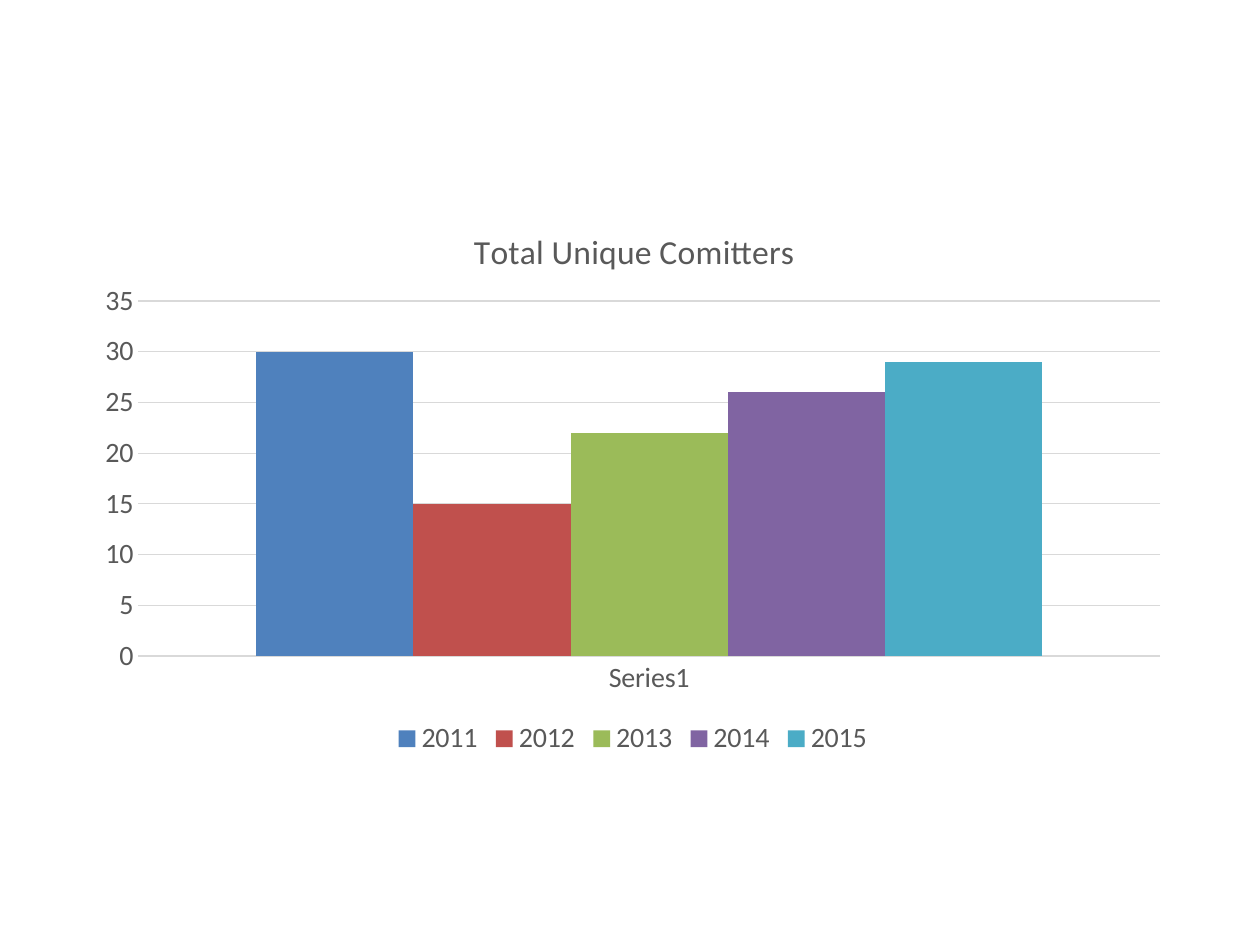
from lxml import etree
from pptx import Presentation
from pptx.chart.data import CategoryChartData
from pptx.dml.color import RGBColor
from pptx.enum.chart import XL_CHART_TYPE as ChartType
from pptx.enum.chart import XL_LEGEND_POSITION as LegendPosition
from pptx.enum.chart import XL_TICK_MARK as TickMark
from pptx.oxml.ns import qn
from pptx.util import Cm, Pt

COLORS = {
    "text": "595959",
    "grid": "D9D9D9",
    "2011": "4F81BD",
    "2012": "C0504D",
    "2013": "9BBB59",
    "2014": "8064A2",
    "2015": "4BACC6",
}
COMMITTERS = {"2011": 30, "2012": 15, "2013": 22, "2014": 26, "2015": 29}


def style_font(font, size):
    font.name = "Calibri"
    font.size = Pt(size)
    font.bold = False
    font.color.rgb = RGBColor.from_string(COLORS["text"])


def set_layout(layout, **settings):
    """Fill a chart layout element with manual settings."""
    for child in list(layout):
        layout.remove(child)
    manual = etree.SubElement(layout, qn("c:manualLayout"))
    for name, value in settings.items():
        etree.SubElement(manual, qn(f"c:{name}")).set("val", str(value))


presentation = Presentation()
presentation.slide_width = Cm(25.4)
presentation.slide_height = Cm(19.05)
slide = presentation.slides.add_slide(presentation.slide_layouts[6])

# Chart
chart_data = CategoryChartData()
chart_data.categories = ["Series1"]
for year, count in COMMITTERS.items():
    chart_data.add_series(year, [count])
chart = slide.shapes.add_chart(
    ChartType.COLUMN_CLUSTERED, Cm(1.68), Cm(3.89), Cm(22.15), Cm(11.46), chart_data
).chart
style_font(chart.font, 16)

# Title
chart.has_title = True
paragraph = chart.chart_title.text_frame.paragraphs[0]
paragraph.text = "Total Unique Comitters"
style_font(paragraph.font, 19.2)
chart.chart_title.include_in_layout = False
title_layout = chart.chart_title._element.get_or_add_layout() if hasattr(
    chart.chart_title._element, "get_or_add_layout"
) else chart.chart_title._element.find(qn("c:layout"))
if title_layout is None:
    title_layout = etree.Element(qn("c:layout"))
    chart.chart_title._element.find(qn("c:tx")).addnext(title_layout)
set_layout(title_layout, xMode="edge", yMode="edge", x=0.35, y=0.05)

# Columns
plot = chart.plots[0]
plot.gap_width = 150
plot.overlap = 0
plot.vary_by_categories = False
for series in plot.series:
    series.format.fill.solid()
    series.format.fill.fore_color.rgb = RGBColor.from_string(COLORS[series.name])

# Axes and grid
for axis in (chart.category_axis, chart.value_axis):
    axis.major_tick_mark = TickMark.NONE
    axis.minor_tick_mark = TickMark.NONE
    axis.format.line.fill.background()
    style_font(axis.tick_labels.font, 16)
value_axis = chart.value_axis
value_axis.minimum_scale = 0
value_axis.maximum_scale = 35
value_axis.major_unit = 5
value_axis.has_major_gridlines = True
grid_line = value_axis.major_gridlines.format.line
grid_line.width = Pt(0.75)
grid_line.color.rgb = RGBColor.from_string(COLORS["grid"])

# Plot area
plot_area = chart._chartSpace.find(f".//{qn('c:plotArea')}")
plot_layout = plot_area.find(qn("c:layout"))
if plot_layout is None:
    plot_layout = etree.Element(qn("c:layout"))
    plot_area.insert(0, plot_layout)
set_layout(plot_layout, layoutTarget="inner", xMode="edge", yMode="edge",
           x=0.05, y=0.19, w=0.93, h=0.625)

# Legend
chart.has_legend = True
chart.legend.position = LegendPosition.BOTTOM
chart.legend.include_in_layout = False
style_font(chart.legend.font, 16)

presentation.save("out.pptx")
